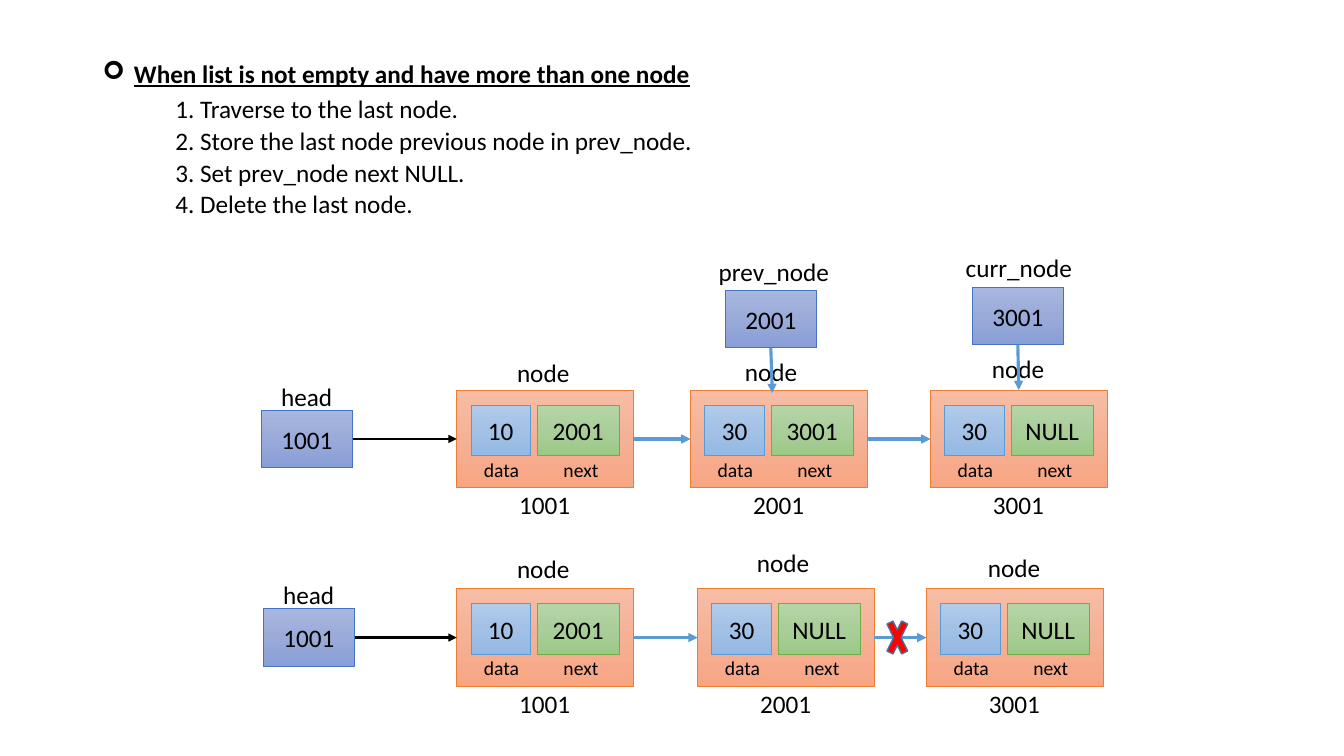
from copy import deepcopy
from lxml.etree import SubElement
from pptx import Presentation
from pptx.dml.color import RGBColor
from pptx.enum.shapes import MSO_CONNECTOR, MSO_SHAPE
from pptx.enum.text import MSO_ANCHOR, MSO_AUTO_SIZE, PP_ALIGN
from pptx.oxml.ns import qn
from pptx.util import Pt

PX = 9144  # 100 px to the inch
COLORS = {"text": "000000", "link": "5B9BD5", "cross": "FF0000", "cross_line": "43739E"}
# Gradient stops from top to bottom, then the outline
BOXES = {
    "node": ("F7BDA5", "F5B196", "F8A582", "ED7D31"),
    "data": ("B1CBE9", "A3C1E5", "93B9E4", "5B9BD5"),
    "next": ("B5D5A7", "AACE9A", "9CC987", "70AD47"),
    "pointer": ("A8B7DF", "9AABD9", "889ED7", "4472C4"),
}

prs = Presentation()
prs.slide_width, prs.slide_height = 1333 * PX, 750 * PX
s = prs.slides.add_slide(prs.slide_layouts[6])


def write(tf, text, size=18):
    tf.text = text
    p = tf.paragraphs[0]
    for r in p.runs:
        r.font.name, r.font.size = "Calibri", Pt(size)
        r.font.color.rgb = RGBColor.from_string(COLORS["text"])
    return p


def add(x, y, w, h, text="", kind=None, size=18, wrap=False):
    """Add a gradient box of the given kind, or a plain label without one."""
    area = [v * PX for v in (x, y, w, h)]
    if kind is None:
        sp = s.shapes.add_textbox(*area)
        sp.text_frame.word_wrap = wrap
        sp.text_frame.auto_size = MSO_AUTO_SIZE.SHAPE_TO_FIT_TEXT
        write(sp.text_frame, text, size)
        return sp
    sp = s.shapes.add_shape(MSO_SHAPE.RECTANGLE, *area)
    sp.shadow.inherit = False
    *shades, outline = BOXES[kind]
    sp.fill.gradient()
    sp.fill.gradient_angle = 270
    stops = sp.element.spPr.find(".//" + qn("a:gsLst"))
    stops.insert(1, deepcopy(stops[0]))
    for stop, shade, pos in zip(sp.fill.gradient_stops, shades, (0, 0.5, 1)):
        stop.color.rgb = RGBColor.from_string(shade)
        stop.position = pos
    sp.line.color.rgb = RGBColor.from_string(outline)
    sp.line.width = Pt(0.5)
    if text:
        sp.text_frame.vertical_anchor = MSO_ANCHOR.MIDDLE
        write(sp.text_frame, text, size).alignment = PP_ALIGN.CENTER
    return sp


# Heading with arrow bullet
p = add(92, 53, 608, 40, "When list is not empty and have more than one node").text_frame.paragraphs[0]
p.runs[0].font.bold = p.runs[0].font.underline = True
pPr = p._p.get_or_add_pPr()
pPr.set("marL", str(31 * PX))
pPr.set("indent", str(-31 * PX))
SubElement(pPr, qn("a:buFont"), typeface="Wingdings")
SubElement(pPr, qn("a:buChar"), char="➢")

# Steps
steps = [
    ("1. Traverse to the last node.", 88, 304),
    ("2. Store the last node previous node in prev_node.", 119, 539),
    ("3. Set prev_node next NULL.", 151, 311),
    ("4. Delete the last node.", 182, 259),
]
for text, y, w in steps:
    add(164, y, w, 40, text)

# Lists before and after: head x, list top, nodes (x, data, next, address, label x, label y)
lists = [
    (259, 387, [(453, "10", "2001", "1001", 503, 350),
                (685, "30", "3001", "2001", 729, 349),
                (923, "30", "NULL", "3001", 974, 346)]),
    (261, 584, [(453, "10", "2001", "1001", 503, 544),
                (692, "30", "NULL", "2001", 741, 538),
                (919, "30", "NULL", "3001", 970, 543)]),
]
rows = []
for head_x, top, nodes in lists:
    add(head_x + 10, top - 14, 72, 40, "head")
    row = [add(head_x, top + 20, 91, 57, "1001", "pointer")]
    for x, data, nxt, address, label_x, label_y in nodes:
        row.append(add(x, top, 175, 97, kind="node"))
        add(x + 14, top + 15, 59, 50, data, "data")
        add(x + 80, top + 15, 81, 50, nxt, "next")
        add(x + 17, top + 62, 56, 34, "data", size=14)
        add(x + 96, top + 62, 55, 34, "next", size=14)
        add(x + 52, top + 94, 71, 40, address)
        add(label_x, label_y, 73, 40, "node")
    rows.append(row)

# Traversal pointers
add(703, 249, 141, 40, "prev_node", wrap=True)
prev_box = add(719, 288, 91, 57, "2001", "pointer")
add(948, 245, 127, 40, "curr_node", wrap=True)
curr_box = add(964, 285, 91, 57, "3001", "pointer")

# Arrows: start shape and side, end shape and side, colour, width
arrows = [(prev_box, 2, None, 0, "link", 2.25), (curr_box, 2, rows[0][3], 0, "link", 2.25)]
for row in rows:
    arrows.append((row[0], 3, row[1], 1, "text", 1.5))
    arrows += [(a, 3, b, 1, "link", 2.25) for a, b in zip(row[1:], row[2:])]
for start, side, end, end_side, color, width in arrows:
    # The prev_node arrow ends left of its node's middle
    c = s.shapes.add_connector(MSO_CONNECTOR.STRAIGHT, 765 * PX, 345 * PX, 766 * PX, 390 * PX)
    c.begin_connect(start, side)
    if end is not None:
        c.end_connect(end, end_side)
    c.line.color.rgb = RGBColor.from_string(COLORS[color])
    c.line.width = Pt(width)
    SubElement(c.line._get_or_add_ln(), qn("a:tailEnd"), type="triangle")
    SubElement(c._element.spPr, qn("a:effectLst"))

# Cross over the removed link
cross = s.shapes.add_shape(MSO_SHAPE.MATH_MULTIPLY, 876 * PX, 604 * PX, 28 * PX, 57 * PX)
cross.shadow.inherit = False
cross.fill.solid()
cross.fill.fore_color.rgb = RGBColor.from_string(COLORS["cross"])
cross.line.color.rgb = RGBColor.from_string(COLORS["cross_line"])
cross.line.width = Pt(1)

prs.save("out.pptx")
